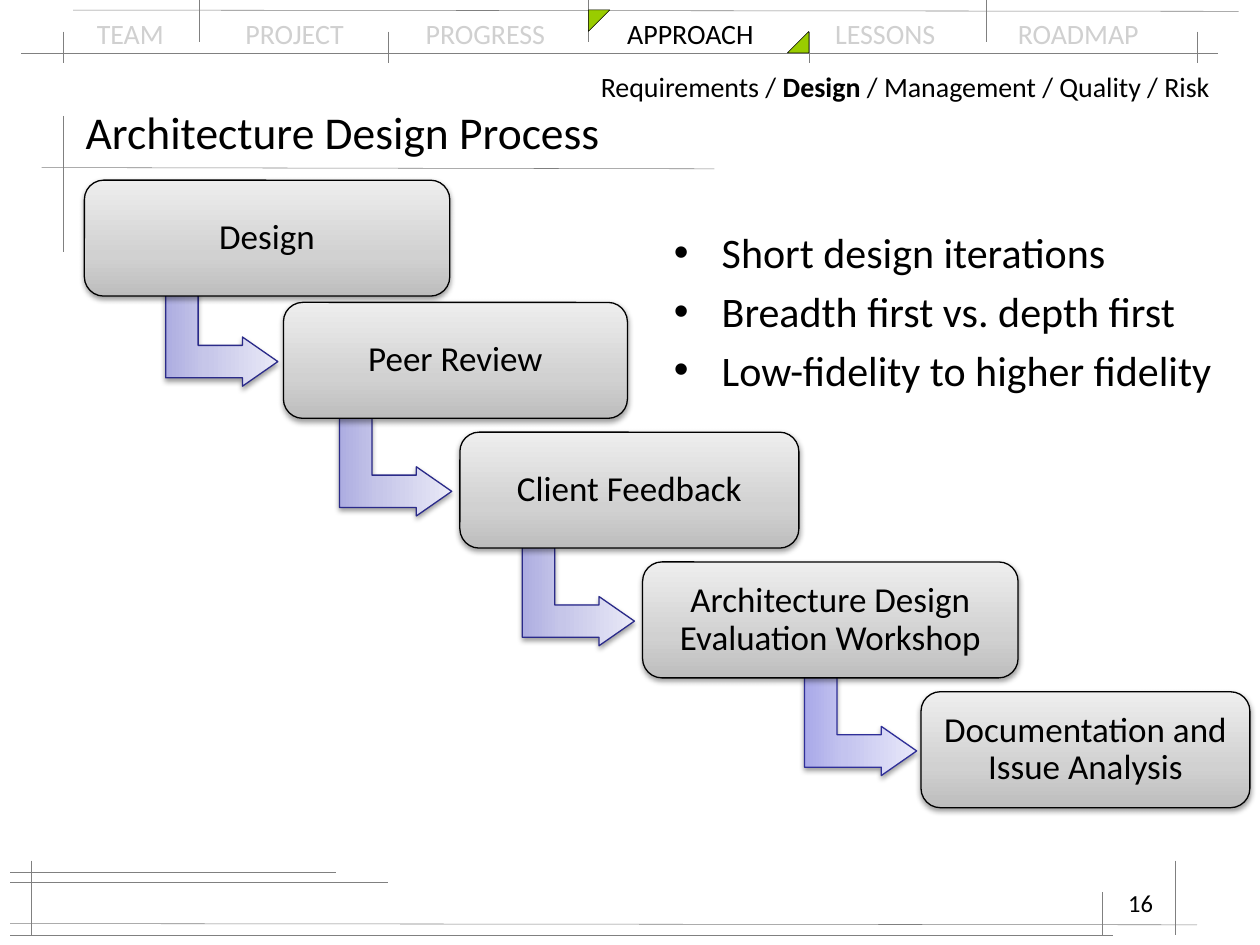
from collections import namedtuple
from dataclasses import dataclass

from lxml import etree
from pptx import Presentation
from pptx.dml.color import RGBColor
from pptx.enum.shapes import MSO_CONNECTOR, MSO_SHAPE
from pptx.enum.text import MSO_ANCHOR, MSO_AUTO_SIZE, PP_ALIGN
from pptx.oxml.ns import qn
from pptx.util import Pt

PX = 9144  # 100 px to the inch
STRAIGHT = MSO_CONNECTOR.STRAIGHT
ROUNDED, BENT_ARROW, TRIANGLE = (
    MSO_SHAPE.ROUNDED_RECTANGLE, MSO_SHAPE.BENT_UP_ARROW, MSO_SHAPE.RIGHT_TRIANGLE)
LEFT, CENTER, RIGHT = PP_ALIGN.LEFT, PP_ALIGN.CENTER, PP_ALIGN.RIGHT
MIDDLE, NO_RESIZE = MSO_ANCHOR.MIDDLE, MSO_AUTO_SIZE.NONE
TITLE_ONLY = 5

Box = namedtuple("Box", "left top width height")
Step = namedtuple("Step", "text left top width arrow_offset")


@dataclass(frozen=True)
class Theme:
    font: str = "Calibri"
    ink: str = "000000"
    muted: str = "D0D0D0"
    rule: str = "808080"
    accent: str = "99CC00"
    box_gradient: tuple = ((0, "BDBDBD"), (35, "D1D1D1"), (100, "EEEEEE"))
    arrow_gradient: tuple = ((0, "ADADE1"), (35, "C6C6E9"), (100, "E9E9F7"))
    last_arrow_gradient: tuple = ((0, "A9A9E9"), (35, "C4C4EF"), (100, "E8E8FA"))
    arrow_line: str = "2A2A89"
    last_arrow_line: str = "2F2F98"
    title_size: int = 26
    bullet_size: int = 24
    step_size: int = 20
    navigation_size: int = 16
    page_size: int = 14
    hairline: float = 0.3
    outline: float = 0.75


THEME = Theme()

TABS = ("TEAM", "PROJECT", "PROGRESS", "APPROACH", "LESSONS", "ROADMAP")
ACTIVE_TAB = "APPROACH"
TAB_STOPS = (118, 261, 421, 586, 731)
BREADCRUMB = (("Requirements / ", False), ("Design ", True),
              ("/ Management / Quality / Risk", False))
STEPS = (
    Step("Design", 0, 0, 290, 0),
    Step("Peer Review", 158, 97, 273, 88),
    Step("Client Feedback", 298, 200, 269, 90),
    Step("Architecture Design Evaluation Workshop", 443, 303, 298, 90),
    Step("Documentation and Issue Analysis", 664, 406, 261, 87),
)
STEP_HEIGHT = 92
BULLETS = ("Short design iterations", "Breadth first vs. depth first",
           "Low-fidelity to higher fidelity")


def emu(*lengths):
    return [round(length * PX) for length in lengths]


def apply_format(target, values):
    for name, value in values.items():
        setattr(target, name, value)


def add_run(paragraph, text, size, color=THEME.ink, bold=False):
    run = paragraph.add_run()
    run.text = text
    apply_format(run.font, {"name": THEME.font, "size": Pt(size), "bold": bold})
    run.font.color.rgb = RGBColor.from_string(color)


def add_text_frame(slide, box):
    frame = slide.shapes.add_textbox(*emu(*box)).text_frame
    frame.word_wrap = True
    return frame


def add_rules(slide, box, rules):
    """Draw hairlines given as (x1, y1, x2, y2) from the box corner."""
    for x1, y1, x2, y2 in rules:
        ends = emu(box.left + x1, box.top + y1, box.left + x2, box.top + y2)
        connector = slide.shapes.add_connector(STRAIGHT, *ends)
        connector.line.width = Pt(THEME.hairline)
        connector.line.color.rgb = RGBColor.from_string(THEME.rule)
        etree.SubElement(connector._element.spPr, qn("a:effectLst"))


def add_outlined_shape(slide, kind, box, line_color, line_width):
    shape = slide.shapes.add_shape(kind, *emu(*box))
    shape.shadow.inherit = False
    shape.line.width = Pt(line_width)
    shape.line.color.rgb = RGBColor.from_string(line_color)
    return shape


def add_raised_shape(slide, kind, box, gradient, line_color):
    """Add a shape with an upward gradient and a soft shadow below it."""
    shape = add_outlined_shape(slide, kind, box, line_color, THEME.outline)
    shape.fill.gradient()
    shape.fill.gradient_angle = 90
    properties = shape._element.spPr
    stops = properties.find(qn("a:gradFill")).find(qn("a:gsLst"))
    for stop in list(stops):
        stops.remove(stop)
    for position, color in gradient:
        stop = etree.SubElement(stops, qn("a:gs"), pos=str(position * 1000))
        etree.SubElement(stop, qn("a:srgbClr"), val=color)
    shadow = etree.SubElement(
        properties.find(qn("a:effectLst")), qn("a:outerShdw"),
        blurRad="40000", dist="20000", dir="5400000", rotWithShape="0")
    shadow_color = etree.SubElement(shadow, qn("a:srgbClr"), val=THEME.ink)
    etree.SubElement(shadow_color, qn("a:alpha"), val="38000")
    return shape


def add_navigation(slide, box):
    paragraph = add_text_frame(
        slide, Box(box.left + 67, box.top + 8, 867, 37)).paragraphs[0]
    for index, tab in enumerate(TABS):
        color = THEME.ink if tab == ACTIVE_TAB else THEME.muted
        add_run(paragraph, ("\t" if index else "") + tab, THEME.navigation_size, color)
    tab_list = etree.SubElement(paragraph._p.get_or_add_pPr(), qn("a:tabLst"))
    for stop in TAB_STOPS:
        etree.SubElement(tab_list, qn("a:tab"), pos=str(stop * PX), algn="l")

    horizontal = [(17, 42, 967, 42), (58, 8, 983, 9)]
    lower_ticks = [(x, 25, x, 50) for x in (50, 308, 642, 950)]
    upper_ticks = [(x, 0, x, 33) for x in (158, 467, 783)]
    add_rules(slide, box, horizontal + lower_ticks + upper_ticks)

    for x, y, flip in ((467, 8, "flipV"), (625, 25, "flipH")):
        corner = Box(box.left + x, box.top + y, 17, 17)
        triangle = add_outlined_shape(slide, TRIANGLE, corner, THEME.ink, THEME.hairline)
        triangle.fill.solid()
        triangle.fill.fore_color.rgb = RGBColor.from_string(THEME.accent)
        triangle._element.spPr.find(qn("a:xfrm")).set(flip, "1")


def add_breadcrumb(slide, box):
    paragraph = add_text_frame(slide, box).paragraphs[0]
    for text, bold in BREADCRUMB:
        add_run(paragraph, text, THEME.navigation_size, bold=bold)


def add_title(slide, box):
    add_rules(slide, box, [(17, 17, 17, 125), (0, 58, 534, 59)])
    title = slide.shapes.title
    left, top, width, height = emu(box.left + 25, box.top, box.width - 25, 58)
    apply_format(title, {"left": left, "top": top, "width": width, "height": height})
    apply_format(title.text_frame, {
        "vertical_anchor": MIDDLE, "auto_size": NO_RESIZE, "word_wrap": True})
    paragraph = title.text_frame.paragraphs[0]
    paragraph.alignment = LEFT
    add_run(paragraph, "Architecture Design Process", THEME.title_size)


def add_process(slide, box):
    """Draw the descending steps, each entered by a bent arrow from the one before."""
    for index, step in enumerate(STEPS):
        left, top = box.left + step.left, box.top + step.top
        if index + 1 < len(STEPS):
            following = STEPS[index + 1]
            is_last = index + 2 == len(STEPS)
            arrow = add_raised_shape(
                slide, BENT_ARROW,
                Box(box.left + following.left - following.arrow_offset,
                    box.top + following.top - 17, 78, 89),
                THEME.last_arrow_gradient if is_last else THEME.arrow_gradient,
                THEME.last_arrow_line if is_last else THEME.arrow_line)
            arrow.rotation = 90
            for position, value in enumerate((0.33, 0.25, 0.36)):
                arrow.adjustments[position] = value
        shape = add_raised_shape(slide, ROUNDED, Box(left, top, step.width, STEP_HEIGHT),
                                 THEME.box_gradient, THEME.ink)
        margins = {f"margin_{side}": 8 * PX for side in ("left", "top", "right", "bottom")}
        apply_format(shape.text_frame, {
            "word_wrap": True, "vertical_anchor": MIDDLE, **margins})
        paragraph = shape.text_frame.paragraphs[0]
        apply_format(paragraph, {"alignment": CENTER, "line_spacing": 0.9})
        add_run(paragraph, step.text, THEME.step_size)


def add_bullets(slide, box):
    frame = add_text_frame(slide, box)
    for index, text in enumerate(BULLETS):
        paragraph = frame.add_paragraph() if index else frame.paragraphs[0]
        paragraph.space_before = Pt(THEME.bullet_size * 0.2)
        properties = paragraph._p.get_or_add_pPr()
        properties.set("marL", str(38 * PX))
        properties.set("indent", str(-38 * PX))
        etree.SubElement(properties, qn("a:buFont"), typeface="Arial")
        etree.SubElement(properties, qn("a:buChar"), char="•")
        add_run(paragraph, text, THEME.bullet_size)


def add_footer(slide, box):
    add_rules(slide, box, [
        (0, 9, 259, 9), (0, 17, 300, 17), (0, 50, 942, 51), (0, 59, 875, 59),
        (17, 0, 17, 59), (867, 25, 867, 59), (925, 0, 925, 59)])
    frame = add_text_frame(slide, Box(box.left + 709, box.top + 17, 208, 50))
    frame.paragraphs[0].alignment = RIGHT
    add_run(frame.paragraphs[0], "16", THEME.page_size)


def main():
    presentation = Presentation()
    presentation.slide_width, presentation.slide_height = emu(1000, 750)
    slide = presentation.slides.add_slide(presentation.slide_layouts[TITLE_ONLY])
    add_navigation(slide, Box(0, 0, 1000, 50))
    add_title(slide, Box(33, 75, 908, 125))
    add_footer(slide, Box(8, 683, 942, 67))
    add_process(slide, Box(67, 143, 925, 498))
    add_breadcrumb(slide, Box(467, 50, 508, 37))
    add_bullets(slide, Box(525, 175, 467, 158))
    presentation.save("out.pptx")


if __name__ == "__main__":
    main()
